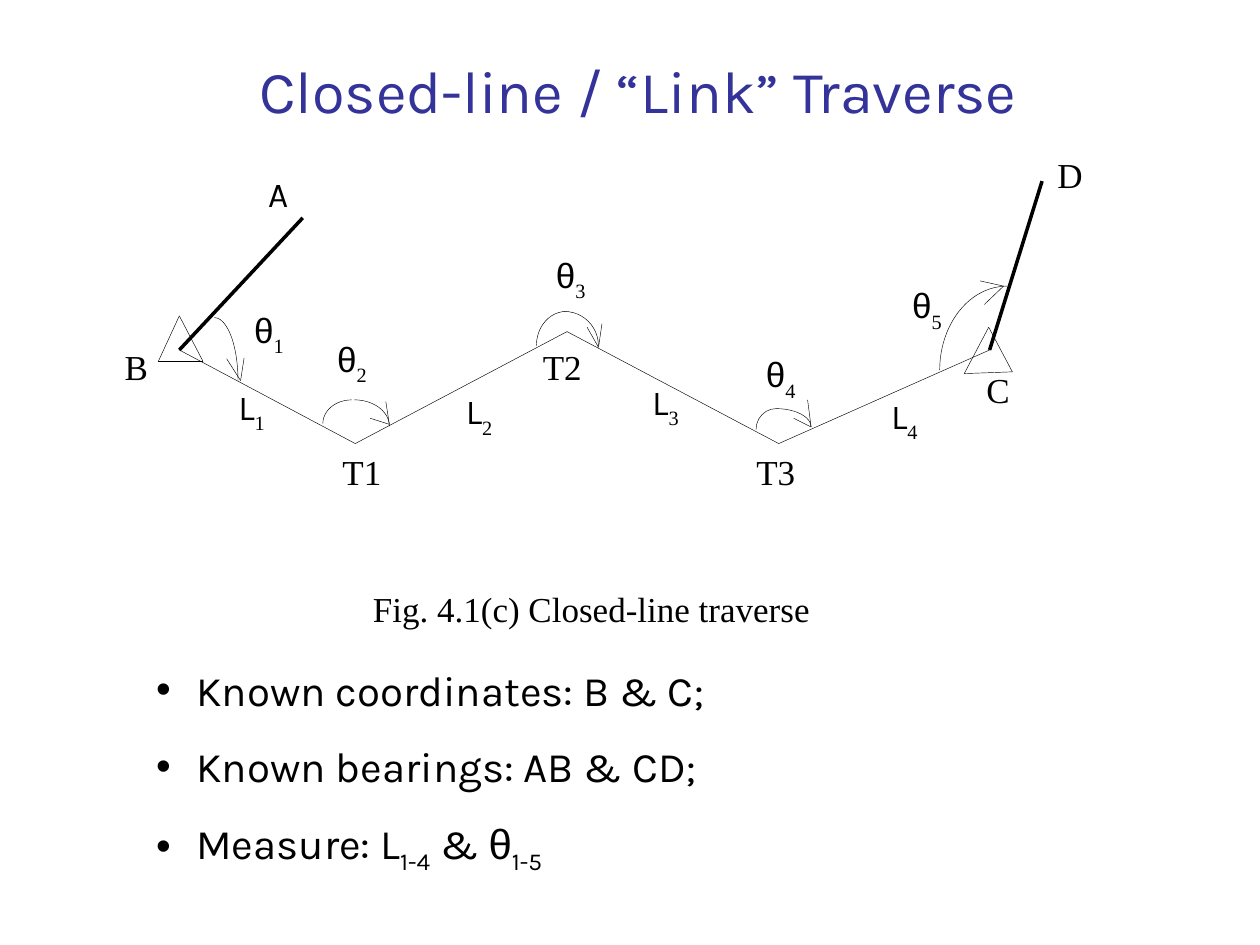
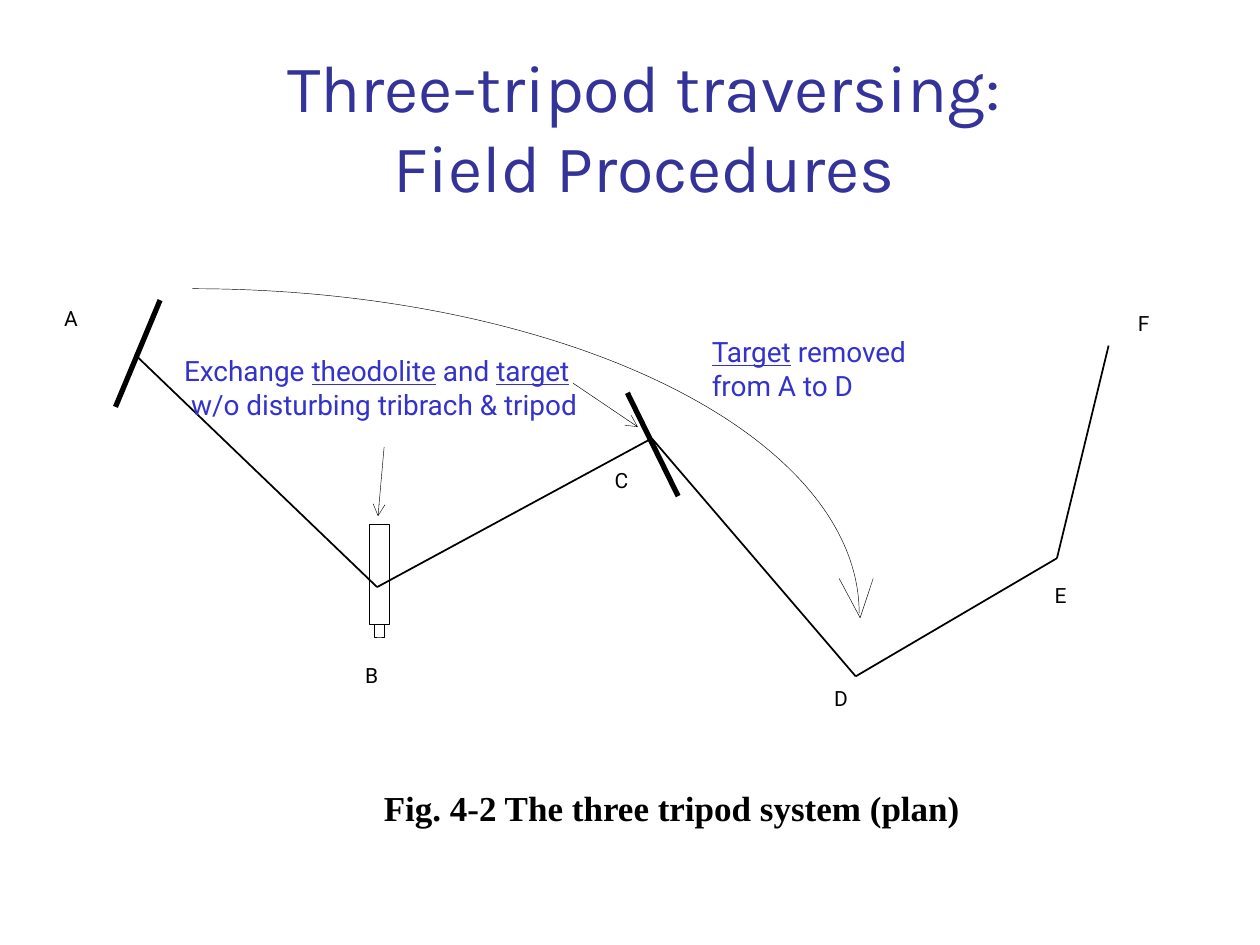
"""Builds two slides on link traverses and three-tripod traversing."""
from dataclasses import dataclass

import pptx
import pptx.util
import pptx.dml.color
import pptx.enum.shapes
import pptx.enum.text
import pptx.oxml
import pptx.oxml.ns

Pt = pptx.util.Pt
SHAPE = pptx.enum.shapes.MSO_SHAPE
LINK = pptx.enum.shapes.MSO_CONNECTOR
ALIGN = pptx.enum.text.PP_ALIGN
ANCHOR = pptx.enum.text.MSO_ANCHOR
FIT = pptx.enum.text.MSO_AUTO_SIZE


@dataclass(frozen=True)
class Theme:
    """Colours, faces, type sizes and line widths."""
    ink: str = "000000"
    title: str = "333399"
    note: str = "3333CC"
    sans: str = "Karla"
    plain: str = "Roboto"
    greek: str = "Arial"
    serif: str = "Times New Roman"
    head: int = 34
    large: int = 38
    body: int = 24
    label: int = 20
    small: int = 16
    tiny: int = 12
    hair: float = 0.25
    fine: float = 1
    bold: float = 2
    heavy: float = 3


T = Theme()
SUB = {"sub": -25}
UNDER = {"under": True}

LINKS = {
    "title": [["Closed-line / “Link” Traverse"]],
    "caption": [["Fig. 4.1(c) Closed-line traverse"]],
    "points": [
        ["Known coordinates: B & C;"],
        ["Known bearings: AB & CD;"],
        ["Measure: L", ("1-4", SUB), " & ", ("θ", {"face": T.greek}), ("1-5", SUB)],
    ],
    "route": [(102.5, 200), (203, 253.5), (324, 189.5), (445, 253.5), (565.5, 200)],
    "bearings": [[(173, 124.5), (102.5, 200)], [(565.5, 200), (595.5, 103.5)]],
    "marks": [
        [(102.5, 180.5), (90.5, 206.5), (116, 206.5)],
        [(565, 187), (551, 213.5), (578.5, 212.5)],
    ],
    "names": [("B", 70.5, 196.5), ("T1", 195, 257), ("T2", 309.5, 196.5),
              ("T3", 431.5, 257), ("C", 563, 210), ("D", 603.5, 87)],
    "start": ("A", 152.5, 98),
    "angles": [(144.5, 175.5), (192, 192), (317, 144), (437, 201), (520.5, 161.5)],
    "lengths": [(135.5, 219.5), (265.5, 222), (372, 216.5), (508.5, 224.5)],
    "arcs": [
        ((122.5, 181.5), (136, 217.5)),
        ((201, 228.5), (184.5, 242)), ((202.5, 228.5), (222.5, 243.5)),
        ((323.5, 178), (306.5, 197.5)), ((322.5, 178), (342, 197.5)),
        ((443.5, 233.5), (432, 245.5)), ((443.5, 233.5), (463.5, 244)),
        ((575.5, 163.5), (537, 211.5)),
    ],
    "barbs": [
        [(139.5, 204.5), (137.5, 217.5), (129.5, 205)],
        [(220.5, 229.5), (222.5, 242.5), (211.5, 239)],
        [(344, 185), (342, 198.5), (335.5, 187)],
        [(461.5, 228.5), (463.5, 244), (453.5, 239)],
        [(560, 160.5), (573.5, 163.5), (562.5, 174)],
    ],
}

TRIPODS = {
    "title": [["Three-tripod traversing:"], ["Field Procedures"]],
    "caption": [["Fig. 4-2 The three tripod system (plan)"]],
    "swap": [["Exchange ", ("theodolite", UNDER), " and ", ("target", UNDER)],
             ["w/o disturbing tribrach & tripod"]],
    "move": [[("Target", UNDER), " removed"], ["from A to D"]],
    "route": [(77, 202.5), (215.5, 335.5), (372.5, 250.5),
              (489, 386.5), (604, 319), (633.5, 197.5)],
    "names": [("A", 36, 174), ("B", 208, 378), ("C", 350.5, 266.5),
              ("D", 476, 391), ("E", 602, 332), ("F", 649.5, 176.5)],
    "targets": [[(66, 232.5), (91.5, 171.5)], [(387.5, 283.5), (358.5, 224.5)]],
    "device": [(211, 299.5, 11.5, 57), (214, 356.5, 5.5, 7.5)],
    "arrows": [[(219.5, 255.5), (216, 295)], [(327.5, 219), (364.5, 244)]],
    "arc": ((110, 165), (491, 350.5)),
    "barb": [(479.5, 330.5), (491.5, 353), (499, 330.5)],
}


def tint(text):
    return pptx.dml.color.RGBColor.from_string(text)


def write(frame, paras, size, face, color=T.ink, align=ALIGN.LEFT, bold=False, gap=0):
    """Fills a text frame with paragraphs of plain or styled runs."""
    for index, parts in enumerate(paras):
        para = frame.add_paragraph() if index else frame.paragraphs[0]
        para.alignment = align
        para.space_before = Pt(gap if index else 0)
        font = para.font
        font.size, font.name, font.bold = Pt(size), face, bold
        font.color.rgb = tint(color)
        for part in parts:
            text, style = (part, {}) if isinstance(part, str) else part
            run = para.add_run()
            run.text = text
            if "face" in style:
                run.font.name = style["face"]
            if "under" in style:
                run.font.underline = True
            if "sub" in style:
                run.font._element.set("baseline", str(style["sub"] * 1000))


def place(shape, box):
    shape.left, shape.top, shape.width, shape.height = map(Pt, box)


def indent(para, left, first=0):
    props = para._p.get_or_add_pPr()
    props.set("marL", str(Pt(left)))
    props.set("indent", str(Pt(first)))


def fit(holder, box, anchor):
    """Moves a placeholder and returns its text frame."""
    place(holder, box)
    frame = holder.text_frame
    frame.auto_size, frame.word_wrap = FIT.NONE, True
    frame.vertical_anchor = anchor
    return frame


def label(slide, paras, box, size, face, inset=0.7, **look):
    frame = slide.shapes.add_textbox(*map(Pt, box)).text_frame
    frame.word_wrap = True
    frame.margin_left = frame.margin_right = Pt(inset)
    frame.margin_top = frame.margin_bottom = Pt(inset)
    write(frame, paras, size, face, **look)
    return frame


def caption(slide, paras, left, top, bold=False):
    frame = label(slide, paras, (left, top, 360, 31.5), T.label, T.serif,
                  inset=3.6, align=ALIGN.CENTER, bold=bold)
    frame.vertical_anchor = ANCHOR.MIDDLE


def stroke(shape, width):
    shape.line.color.rgb = tint(T.ink)
    shape.line.width = Pt(width)


def trace(slide, spots, width=T.hair, arrow=False):
    """Joins each spot to the next with a straight connector."""
    for start, end in zip(spots, spots[1:]):
        line = slide.shapes.add_connector(LINK.STRAIGHT, *map(Pt, start + end))
        stroke(line, width)
        props = line._element.spPr
        if arrow:
            tail = pptx.oxml.parse_xml(
                f'<a:tailEnd {pptx.oxml.ns.nsdecls("a")} type="arrow"/>')
            line.line._get_or_add_ln().append(tail)
        props.append(pptx.oxml.parse_xml(f'<a:effectLst {pptx.oxml.ns.nsdecls("a")}/>'))


def outline(slide, kind, box):
    shape = slide.shapes.add_shape(kind, *map(Pt, box))
    shape.shadow.inherit = False
    shape.fill.background()
    stroke(shape, T.hair)
    return shape


def curve(slide, top, end):
    """Draws a quarter ellipse from its top down to its left or right end."""
    wide, tall = abs(end[0] - top[0]), end[1] - top[1]
    arc = outline(slide, SHAPE.ARC, (top[0] - wide, top[1], 2 * wide, 2 * tall))
    if end[0] < top[0]:
        arc.adjustments[0], arc.adjustments[1] = 108.0, 162.0


def links(deck):
    slide = deck.slides.add_slide(deck.slide_layouts[1])
    data = LINKS
    head = fit(slide.shapes.title, (141, 22.5, 508, 52.5), ANCHOR.BOTTOM)
    write(head, data["title"], T.head, T.sans, T.title)
    body = fit(slide.placeholders[1], (82, 376, 535, 150), ANCHOR.TOP)
    write(body, data["points"], T.body, T.sans, gap=15)
    for para in body.paragraphs:
        indent(para, 23, -23)

    trace(slide, data["route"])
    for spots in data["bearings"]:
        trace(slide, spots, T.bold)
    for spots in data["marks"]:
        trace(slide, spots + spots[:1])
    for top, end in data["arcs"]:
        curve(slide, top, end)
    for spots in data["barbs"]:
        trace(slide, spots)

    tags = [([name], x, y, T.serif) for name, x, y in data["names"]]
    name, x, y = data["start"]
    tags.append(([name], x, y, T.sans))
    for sign, key, face in (("θ", "angles", T.greek), ("L", "lengths", T.sans)):
        for count, (x, y) in enumerate(data[key], 1):
            low = (str(count), {"face": T.serif, "sub": -30})
            tags.append(([sign, low], x, y, face))
    for parts, x, y, face in tags:
        label(slide, [parts], (x, y, 42, 36), T.label, face)
    caption(slide, data["caption"], 158, 332)


def tripods(deck):
    slide = deck.slides.add_slide(deck.slide_layouts[5])
    data = TRIPODS
    head = fit(slide.shapes.title, (147.5, 22.5, 441.5, 98.5), ANCHOR.MIDDLE)
    write(head, data["title"], T.large, T.sans, T.title, ALIGN.CENTER)

    trace(slide, data["route"], T.fine)
    for box in data["device"]:
        outline(slide, SHAPE.RECTANGLE, box)
    curve(slide, *data["arc"])
    trace(slide, data["barb"])
    for spots in data["arrows"]:
        trace(slide, spots, arrow=True)
    for spots in data["targets"]:
        trace(slide, spots, T.heavy)

    for name, x, y in data["names"]:
        label(slide, [[name]], (x, y, 36, 36), T.tiny, T.plain)
    swap = label(slide, data["swap"], (104.5, 201.5, 232, 41), T.small, T.plain,
                 color=T.note)
    indent(swap.paragraphs[1], 4)
    label(slide, data["move"], (406, 190.5, 146, 41), T.small, T.plain, color=T.note)
    caption(slide, data["caption"], 204, 445.5, bold=True)


def main():
    deck = pptx.Presentation()
    deck.slide_width, deck.slide_height = Pt(720), Pt(540)
    links(deck)
    tripods(deck)
    deck.save("out.pptx")


if __name__ == "__main__":
    main()
